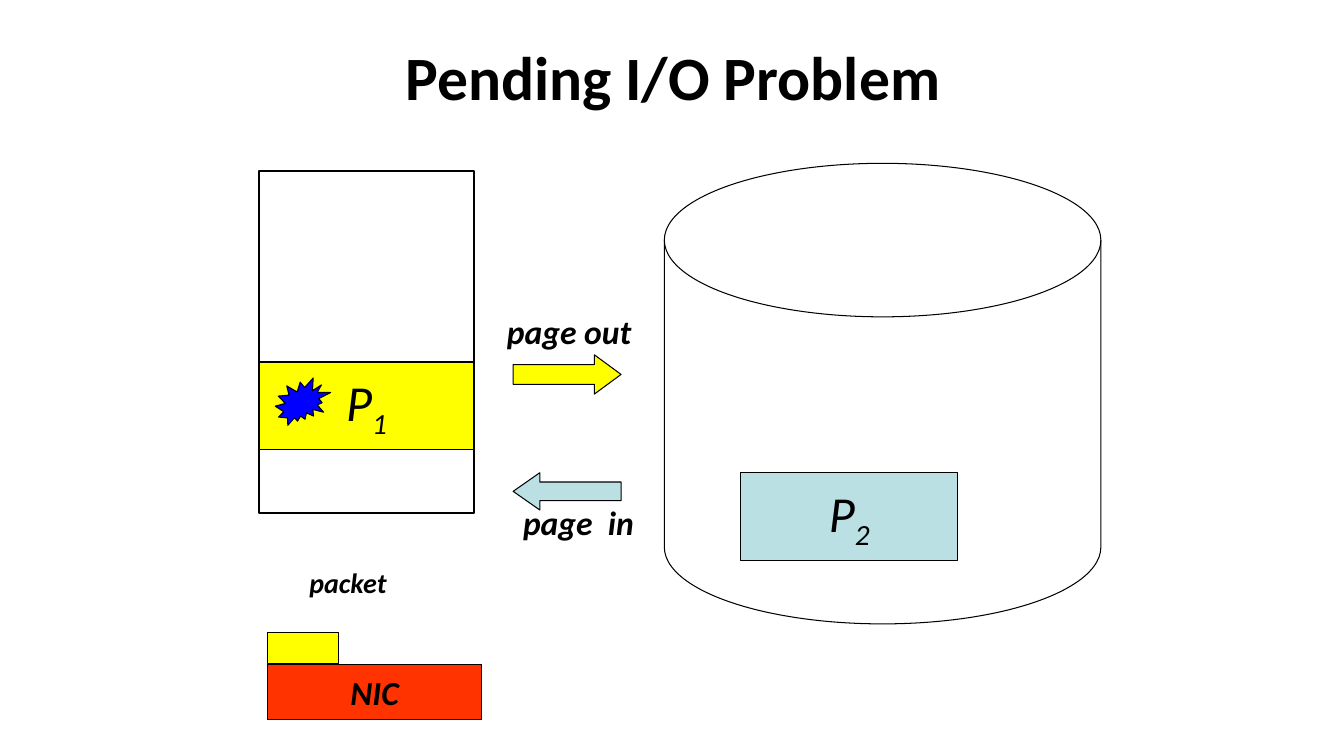
from pptx import Presentation
from pptx.dml.color import RGBColor
from pptx.enum.shapes import MSO_SHAPE
from pptx.enum.text import MSO_ANCHOR, MSO_AUTO_SIZE, PP_ALIGN
from pptx.util import Inches, Pt

COLORS = {"ink": "000000", "yellow": "FFFF00", "teal": "BBE0E3",
          "red": "FF3300", "blue": "0000FF"}

deck = Presentation()
deck.slide_width, deck.slide_height = Inches(13.33), Inches(7.5)
slide = deck.slides.add_slide(deck.slide_layouts[6])

# The grid has 100 columns and 100 rows
COL, ROW = deck.slide_width / 100, deck.slide_height / 100


def draw(home, kind, box, fill=None, weight=0.75):
    """Add a shape, or a text box when kind is None; box is in columns and rows."""
    x, y, w, h = box
    area = [int(n) for n in (x * COL, y * ROW, w * COL, h * ROW)]
    if kind is None:
        return home.add_textbox(*area)
    shape = home.add_shape(kind, *area)
    shape.shadow.inherit = False
    if fill:
        shape.fill.solid()
        shape.fill.fore_color.rgb = RGBColor.from_string(COLORS[fill])
    else:
        shape.fill.background()
    shape.line.color.rgb = RGBColor.from_string(COLORS["ink"])
    shape.line.width = Pt(weight)
    return shape


def write(shape, text, size, bold=True, italic=True, center=True, sub=""):
    frame = shape.text_frame
    frame.word_wrap = False
    if center:
        frame.vertical_anchor = MSO_ANCHOR.MIDDLE
    else:
        frame.auto_size = MSO_AUTO_SIZE.SHAPE_TO_FIT_TEXT
    para = frame.paragraphs[0]
    para.alignment = PP_ALIGN.CENTER if center else PP_ALIGN.LEFT
    for part in filter(None, (text, sub)):
        run = para.add_run()
        run.text = part
        font = run.font
        font.name, font.size = "Calibri", Pt(size)
        font.bold, font.italic = bold, italic
        font.color.rgb = RGBColor.from_string(COLORS["ink"])
        if part == sub:
            run._r.get_or_add_rPr().set("baseline", "-25000")


main = slide.shapes
RECT = MSO_SHAPE.RECTANGLE

# Title
title = draw(main, None, (5.1, 1.73, 90, 16.67))
write(title, "Pending I/O Problem", 44, italic=False)

# Memory, disk and their pages
MEM, WIDE, HIGH = 19.28, 15.98, 11.6
first = (MEM, 47.87, WIDE, HIGH)
draw(main, RECT, (MEM, 22.67, WIDE, 45.2), weight=1.5)
draw(main, MSO_SHAPE.FLOWCHART_MAGNETIC_DISK, (49.43, 21.6, 32.48, 60.93))
pages = [("1", first, "yellow"), ("2", (55.13, 62.53, 16.13, HIGH), "teal")]
for number, box, fill in pages:
    write(draw(main, RECT, box, fill), "P", 36, bold=False, sub=number)

# Page moves: an arrow grouped with its label
moves = [
    (MSO_SHAPE.RIGHT_ARROW, 46.93, 5.2, 0.68, "yellow",
     "page out", (36.98, 40.53, 10.8, 6.8)),
    (MSO_SHAPE.LEFT_ARROW, 62.53, 4.93, 0.715, "teal",
     "page  in", (38.18, 65.73, 9.83, 6.8)),
]
for kind, top, high, head, fill, text, box in moves:
    group = main.add_group_shape().shapes
    arrow = draw(group, kind, (38.18, top, 8.03, high), fill)
    arrow.adjustments[1] = head
    write(draw(group, None, box), text, 24, center=False)

# Network card with its packet
CARD = 19.88
write(draw(main, RECT, (CARD, 87.87, WIDE, 7.33), "red"), "NIC", 24)
label = draw(main, None, (22.28, 74.13, 7.28, 5.87))
write(label, "packet", 20, center=False)
draw(main, RECT, (CARD, 83.6, 5.33, 4.13), "yellow")

# Pending data inside the first page
draw(main, MSO_SHAPE.EXPLOSION2, (20.48, 50, 4.13, 6.27), "blue")
draw(main, RECT, first, weight=1)

deck.save("out.pptx")
